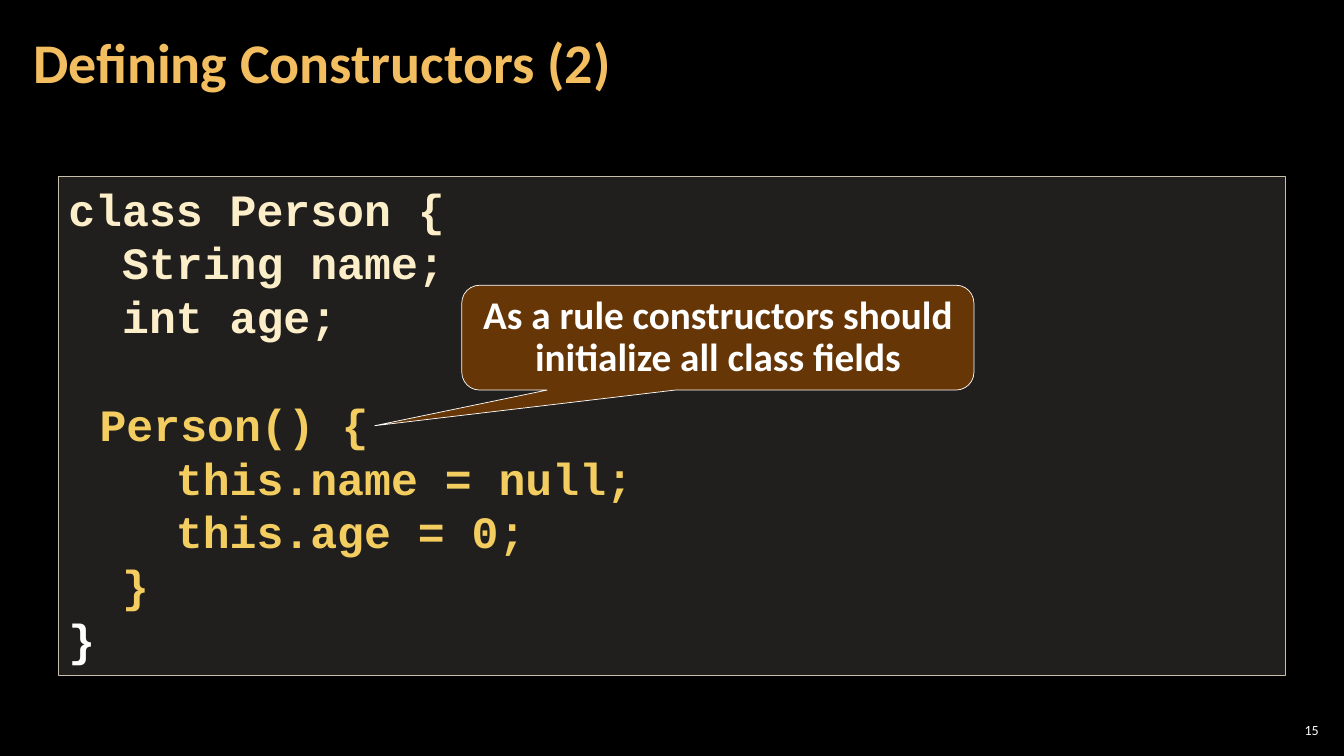
from dataclasses import dataclass

from lxml.etree import SubElement
from pptx import Presentation
from pptx.dml.color import RGBColor
from pptx.enum.shapes import MSO_SHAPE
from pptx.enum.text import MSO_ANCHOR, MSO_AUTO_SIZE, PP_ALIGN
from pptx.oxml.ns import qn
from pptx.util import Inches, Pt

COLORS = {
    "background": "000000",
    "title": "F3BE60",
    "code": "FBEEC9",
    "constructor": "F3CD60",
    "white": "FFFFFF",
    "panel": "D9D5C7",
    "panel_line": "C7BFAC",
    "callout": "663606",
}
CELL = Inches(0.1)  # side of one grid column and one grid row
INDENT = Inches(0.31)
CODE_FONT = "Courier New"
CODE_SIZE = 32


@dataclass(frozen=True)
class Area:
    column: float
    row: float
    columns: float
    rows: float

    def lengths(self) -> list[int]:
        return [round(n * CELL) for n in (self.column, self.row, self.columns, self.rows)]


@dataclass(frozen=True)
class Label:
    text: str
    area: Area
    size: int
    color: str
    bold: bool
    align: PP_ALIGN
    side_inset: float
    line_spacing: float


@dataclass(frozen=True)
class CodeLine:
    text: str
    color: str = "code"


LABELS = [
    Label("15", Area(126.5, 71.4, 4.7, 2.1), 10, "white", False, PP_ALIGN.RIGHT, 0.04, 1.0),
    Label("Defining Constructors (2)", Area(2.1, 0.4, 104.7, 12.1), 40, "title", True,
          PP_ALIGN.LEFT, 0.12, 0.9),
]
CODE = [
    CodeLine("class Person {"),
    CodeLine("  String name;"),
    CodeLine("  int age;"),
    CodeLine(""),
    CodeLine("\tPerson() {", "constructor"),
    CodeLine("    this.name = null;", "constructor"),
    CodeLine("    this.age = 0;", "constructor"),
    CodeLine("  }", "constructor"),
    CodeLine("}", "white"),
]
CODE_AREA = Area(5.8, 17.5, 121.7, 49.5)
CALLOUT_AREA = Area(45.8, 28.3, 50.8, 10.4)
CALLOUT_TEXT = "As a rule constructors should initialize all class fields"


def rgb(name: str) -> RGBColor:
    return RGBColor.from_string(COLORS[name])


def format_runs(para, font: str, size: int, color: str, bold: bool) -> None:
    for span in para.runs:
        span.font.name = font
        span.font.size = Pt(size)
        span.font.bold = bold
        span.font.color.rgb = rgb(color)


def add_label(page, label: Label) -> None:
    frame = page.shapes.add_textbox(*label.area.lengths()).text_frame
    frame.word_wrap = True
    frame.vertical_anchor = MSO_ANCHOR.MIDDLE
    frame.margin_left = frame.margin_right = Inches(label.side_inset)
    frame.margin_top = frame.margin_bottom = Inches(0.04)
    frame.text = label.text
    para = frame.paragraphs[0]
    para.alignment = label.align
    para.line_spacing = label.line_spacing
    format_runs(para, "Calibri", label.size, label.color, label.bold)


def add_panel(page, kind: MSO_SHAPE, area: Area, fill: str, line: str, width: float):
    box = page.shapes.add_shape(kind, *area.lengths())
    box.shadow.inherit = False
    box.fill.solid()
    box.fill.fore_color.rgb = rgb(fill)
    box.line.color.rgb = rgb(line)
    box.line.width = Pt(width)
    frame = box.text_frame
    frame.word_wrap = True
    frame.vertical_anchor = MSO_ANCHOR.TOP
    frame.auto_size = MSO_AUTO_SIZE.SHAPE_TO_FIT_TEXT
    return box


def set_hanging_indent(para) -> None:
    properties = para._p.get_or_add_pPr()
    properties.set("marL", str(INDENT))
    properties.set("indent", str(-INDENT))
    tabs = SubElement(properties, qn("a:tabLst"))
    SubElement(tabs, qn("a:tab"), pos=str(INDENT), algn="l")


def size_empty_line(para) -> None:
    """Give a line without runs the height of a code line."""
    ending = SubElement(para._p, qn("a:endParaRPr"), sz=str(CODE_SIZE * 100), b="1")
    SubElement(ending, qn("a:latin"), typeface=CODE_FONT)


def add_code(page) -> None:
    box = add_panel(page, MSO_SHAPE.RECTANGLE, CODE_AREA, "panel", "panel_line", 1)
    fill_color = box._element.spPr.find(qn("a:solidFill")).find(qn("a:srgbClr"))
    SubElement(fill_color, qn("a:alpha"), val="15000")
    frame = box.text_frame
    frame.text = "\n".join(line.text for line in CODE)
    for para, line in zip(frame.paragraphs, CODE):
        para.alignment = PP_ALIGN.LEFT
        set_hanging_indent(para)
        format_runs(para, CODE_FONT, CODE_SIZE, line.color, True)
        if not line.text:
            size_empty_line(para)


def add_callout(page) -> None:
    box = add_panel(page, MSO_SHAPE.ROUNDED_RECTANGULAR_CALLOUT, CALLOUT_AREA,
                    "callout", "white", 0.5)
    for index, value in enumerate((-0.67, 0.84, 0.17)):
        box.adjustments[index] = value
    box.text_frame.text = CALLOUT_TEXT
    para = box.text_frame.paragraphs[0]
    para.alignment = PP_ALIGN.CENTER
    para.line_spacing = Pt(30)
    format_runs(para, "Calibri", 28, "white", True)


def main() -> None:
    deck = Presentation()
    deck.slide_width = Inches(13.33)
    deck.slide_height = Inches(7.5)
    page = deck.slides.add_slide(deck.slide_layouts[6])
    page.background.fill.solid()
    page.background.fill.fore_color.rgb = rgb("background")
    for label in LABELS:
        add_label(page, label)
    add_code(page)
    add_callout(page)
    deck.save("out.pptx")


if __name__ == "__main__":
    main()
